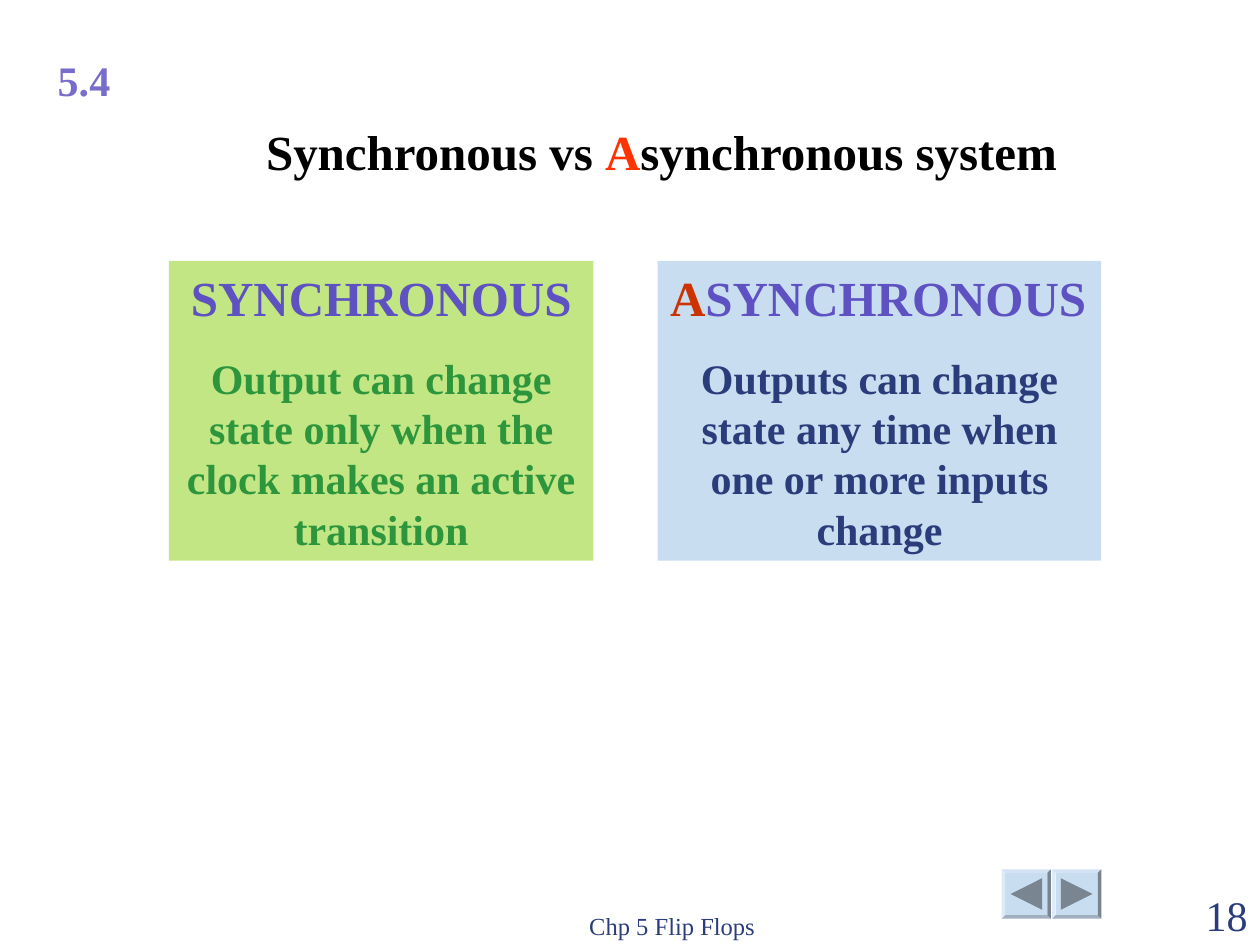
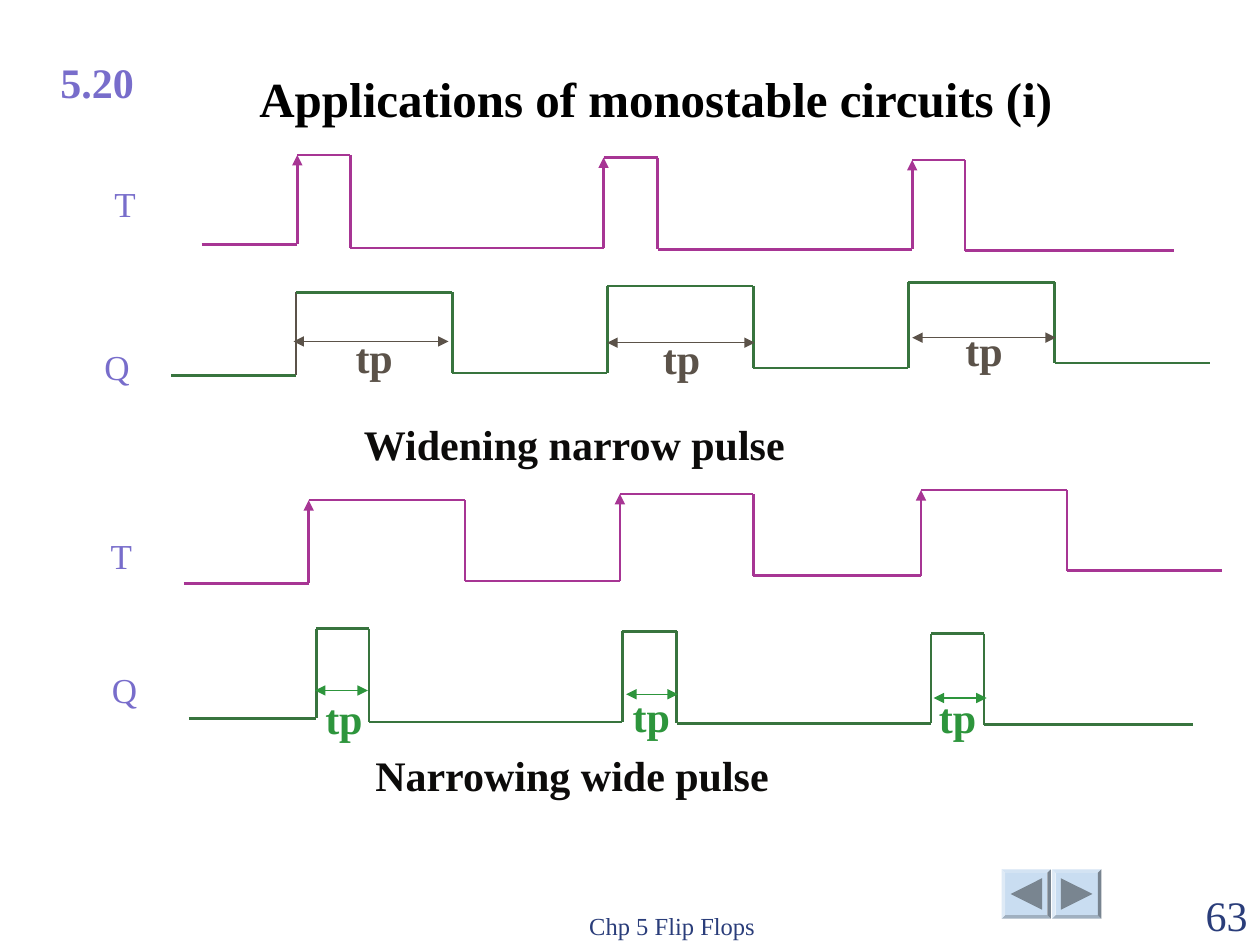
from dataclasses import dataclass

from lxml.etree import SubElement
from pptx import Presentation
from pptx.dml.color import RGBColor
from pptx.enum.shapes import MSO_CONNECTOR, MSO_SHAPE as SHAPE
from pptx.enum.text import MSO_ANCHOR as ANCHOR, MSO_AUTO_SIZE, PP_ALIGN as ALIGN
from pptx.oxml.ns import qn
from pptx.util import Inches, Pt


@dataclass(frozen=True)
class Theme:
    font: str = "Times New Roman"
    black: str = "000000"
    caption: str = "0C0B0A"
    red: str = "FF3300"
    dark_red: str = "CC3300"
    violet: str = "5E51C1"
    lilac: str = "786DCB"
    navy: str = "2A3D7A"
    green: str = "2D953C"
    lime: str = "C3E684"
    sky: str = "C9DDF1"
    slate: str = "798590"
    trigger: str = "A73594"
    output: str = "38743E"
    brown: str = "5B5249"
    heading: int = 28
    text: int = 24
    label: int = 20
    small: int = 14
    signal_line: float = 1.5
    span_line: float = 0.75


THEME = Theme()

# Signal shapes, measured from the first rising edge and its top:
# each pulse is (rise, fall, top, low level after it).
NARROW = dict(lead=0.71, end=6.96, pulses=[
    (0, 0.42, 0, 0.74), (2.43, 2.86, 0.02, 0.75), (4.88, 5.3, 0.04, 0.76)])


def wide_signal(second_fall):
    return dict(lead=0.66, end=7.25, pulses=[
        (0, 1.24, 0, 0.64), (2.47, second_fall, -0.05, 0.6), (4.86, 6.02, -0.08, 0.56)])


def rgb(color):
    return RGBColor.from_string(color)


def set_all(target, values):
    for name, value in values.items():
        setattr(target, name, value)


def write_para(para, spans, size, bold=False, align=ALIGN.LEFT, before=None):
    """Spans are (text, colour) pairs."""
    para.alignment = align
    if before:
        para.space_before = Pt(before)
    for text, color in spans:
        span = para.add_run()
        span.text = text
        set_all(span.font, dict(name=THEME.font, size=Pt(size), bold=bold))
        span.font.color.rgb = rgb(color)


def format_frame(frame, wrap=True, anchor=ANCHOR.TOP):
    set_all(frame, dict(
        auto_size=MSO_AUTO_SIZE.NONE, word_wrap=wrap, vertical_anchor=anchor,
        margin_left=Inches(0.1), margin_right=Inches(0.1),
        margin_top=Inches(0.05), margin_bottom=Inches(0.05)))


def add_text(page, box, text, color, size, wrap=True, anchor=ANCHOR.TOP, **style):
    frame = page.shapes.add_textbox(*map(Inches, box)).text_frame
    format_frame(frame, wrap, anchor)
    write_para(frame.paragraphs[0], [(text, color)], size, **style)


def add_plain_shape(page, kind, box, color):
    shape = page.shapes.add_shape(kind, *map(Inches, box))
    shape.shadow.inherit = False
    shape.fill.solid()
    shape.fill.fore_color.rgb = rgb(color)
    shape.line.fill.background()
    return shape


def add_line(page, start, end, color, width, arrows=()):
    """Arrows names the ends that get a head: headEnd, tailEnd."""
    line = page.shapes.add_connector(MSO_CONNECTOR.STRAIGHT, *map(Inches, start + end))
    line.line.color.rgb = rgb(color)
    line.line.width = Pt(width)
    outline = line.line._get_or_add_ln()
    for arrow in arrows:
        SubElement(outline, qn("a:" + arrow), type="triangle")
    SubElement(line._element.spPr, qn("a:effectLst"))


# Shared parts of every slide

def add_nav_button(page, left, top, turn):
    size, inset = 0.39, 0.07
    button = add_plain_shape(page, SHAPE.BEVEL, (left, top, size, size), THEME.sky)
    button.adjustments[0] = 0.07
    side = size - 2 * inset
    arrow = add_plain_shape(page, SHAPE.ISOSCELES_TRIANGLE,
                            (left + inset, top + inset, side, side), THEME.slate)
    arrow.rotation = turn


def add_page(deck, title, title_box, section, section_box, number):
    page = deck.slides.add_slide(deck.slide_layouts[5])
    # Navigation
    for left, turn in ((7.95, -90), (8.35, 90)):
        add_nav_button(page, left, 6.9, turn)
    # Title and section number
    heading = page.shapes.title
    names = ("left", "top", "width", "height")
    set_all(heading, dict(zip(names, map(Inches, title_box))))
    format_frame(heading.text_frame, anchor=ANCHOR.BOTTOM)
    write_para(heading.text_frame.paragraphs[0], title, THEME.heading, True, ALIGN.CENTER)
    add_text(page, section_box, section, THEME.lilac, THEME.text, wrap=False, bold=True)
    # Footer
    add_text(page, (3.75, 7.01, 3.17, 0.5), "Chp 5 Flip Flops", THEME.navy, THEME.small,
             anchor=ANCHOR.BOTTOM, align=ALIGN.CENTER)
    add_text(page, (9, 7.01, 1, 0.5), number, THEME.navy, THEME.text,
             anchor=ANCHOR.BOTTOM, align=ALIGN.RIGHT)
    return page


# Comparison slide

def add_card(page, box, fill, heading, body, color, heading_align):
    frame = add_plain_shape(page, SHAPE.RECTANGLE, box, fill).text_frame
    format_frame(frame)
    write_para(frame.paragraphs[0], heading, THEME.heading, True, heading_align)
    write_para(frame.add_paragraph(), [(body, color)], THEME.text, True, ALIGN.CENTER, 15)


def build_comparison(deck):
    title = [("Synchronous vs ", THEME.black), ("A", THEME.red),
             ("synchronous system", THEME.black)]
    page = add_page(deck, title, (1, 0.81, 8.5, 0.67), "5.4", (0.36, 0.38, 0.61, 0.5), "18")
    add_card(page, (1.34, 2.07, 3.37, 2.38), THEME.lime, [("SYNCHRONOUS", THEME.violet)],
             "Output can change state only when the clock makes an active transition",
             THEME.green, ALIGN.CENTER)
    add_card(page, (5.22, 2.07, 3.52, 2.38), THEME.sky,
             [("A", THEME.dark_red), ("SYNCHRONOUS", THEME.violet)],
             "Outputs can change state any time when one or more inputs change",
             THEME.navy, ALIGN.LEFT)


# Timing diagram slide

def add_signal(page, origin, signal, lead_length, color, first_rise=None, arrows=()):
    left, top = origin

    def draw(start, end, stroke=color, heads=()):
        add_line(page, (left + start[0], top + start[1]), (left + end[0], top + end[1]),
                 stroke, THEME.signal_line, heads)

    pulses = signal["pulses"]
    next_rises = [pulse[0] for pulse in pulses[1:]] + [signal["end"]]
    level = signal["lead"]
    draw((-lead_length, level), (0, level))
    for index, (rise, fall, high, low) in enumerate(pulses):
        edge = first_rise if first_rise and index == 0 else color
        draw((rise, level), (rise, high), edge, arrows)
        draw((rise, high), (fall, high))
        draw((fall, high), (fall, low))
        draw((fall, low), (next_rises[index], low))
        level = low


def add_pulse_widths(page, origin, color, marks):
    """Marks are (start, end, height, label left, label top), measured from origin."""
    left, top = origin
    for start, end, height, label_left, label_top in marks:
        add_line(page, (left + start, top + height), (left + end, top + height),
                 color, THEME.span_line, ("headEnd", "tailEnd"))
        add_text(page, (left + label_left, top + label_top, 0.56, 0.5), "tp", color,
                 THEME.text, bold=True, align=ALIGN.CENTER)


def build_timing(deck):
    page = add_page(deck, [("Applications of monostable circuits (i)", THEME.black)],
                    (1.12, 0.39, 8.17, 0.67), "5.20", (0.38, 0.4, 0.78, 0.5), "63")

    # Signal names and captions
    for name, left, top in (("T", 0.81, 1.4), ("Q", 0.73, 2.69),
                            ("T", 0.78, 4.19), ("Q", 0.79, 5.26)):
        add_text(page, (left, top, 0.54, 0.44), name, THEME.lilac, THEME.label)
    for caption, left, top in (("Widening narrow pulse", 2.79, 3.27),
                               ("Narrowing wide pulse", 2.88, 5.9)):
        add_text(page, (left, top, 4.75, 0.5), caption, THEME.caption, THEME.text, bold=True)

    # Widening: narrow trigger, wide output
    wide_output, narrow_output = (2.35, 2.32), (2.51, 4.99)
    add_signal(page, (2.36, 1.23), NARROW, 0.76, THEME.trigger, arrows=("tailEnd",))
    add_signal(page, wide_output, wide_signal(3.63), 0.99, THEME.output, THEME.brown)
    add_pulse_widths(page, wide_output, THEME.brown, [
        (-0.02, 1.21, 0.39, 0.34, 0.26),
        (2.47, 3.64, 0.4, 2.78, 0.27),
        (4.89, 6.03, 0.36, 5.18, 0.21)])

    # Narrowing: wide trigger, narrow output
    add_signal(page, (2.45, 3.97), wide_signal(3.53), 0.99, THEME.trigger, arrows=("tailEnd",))
    add_signal(page, narrow_output, NARROW, 1.01, THEME.output)
    add_pulse_widths(page, narrow_output, THEME.green, [
        (-0.01, 0.41, 0.49, -0.06, 0.46),
        (2.46, 2.87, 0.52, 2.38, 0.44),
        (4.9, 5.32, 0.55, 4.81, 0.45)])


def main():
    deck = Presentation()
    deck.slide_width, deck.slide_height = Inches(10), Inches(7.5)
    build_comparison(deck)
    build_timing(deck)
    deck.save("out.pptx")


if __name__ == "__main__":
    main()
